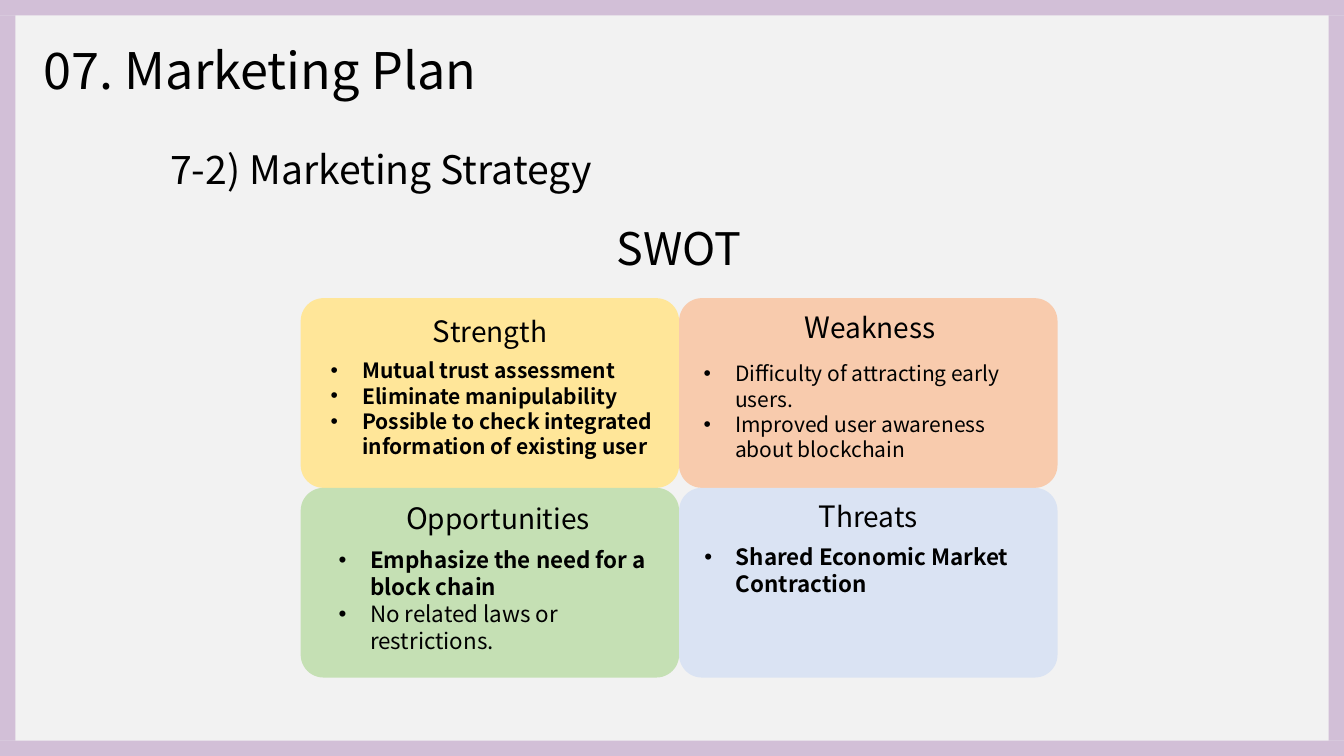
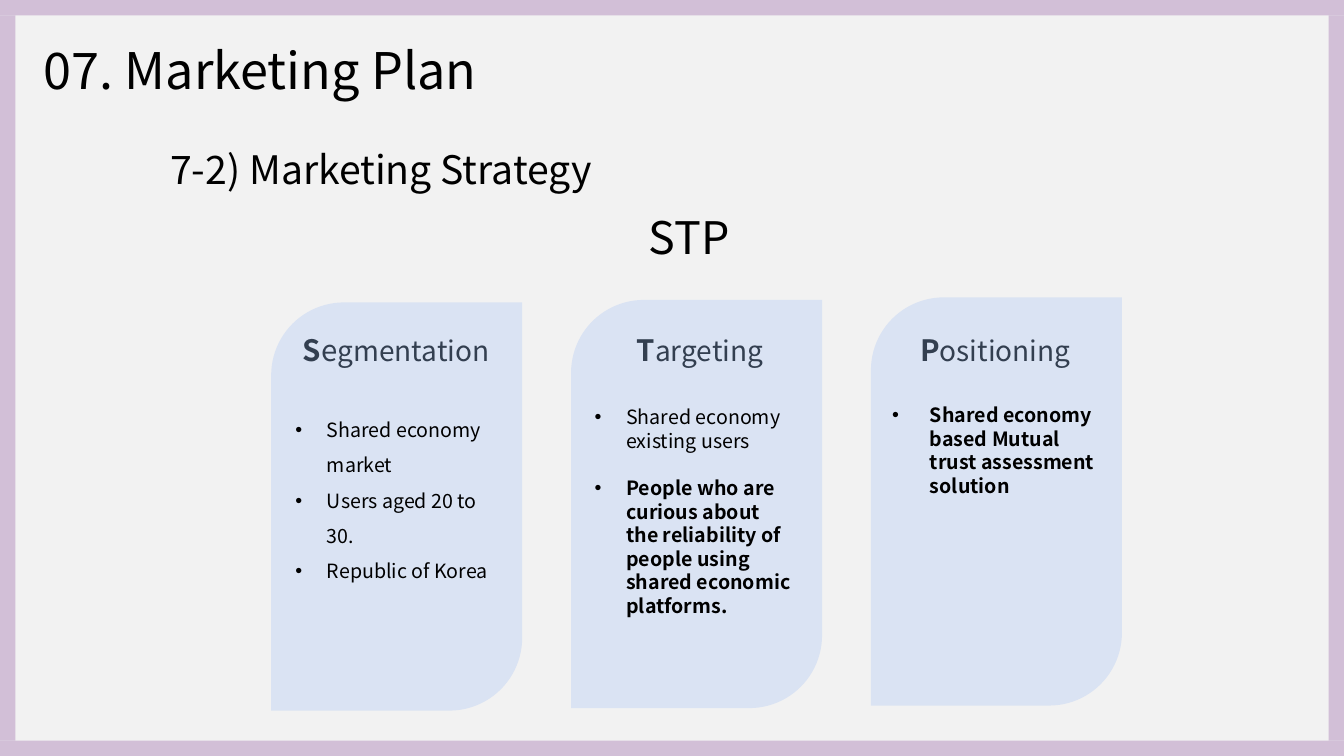
import pptx
import pptx.dml.color
import pptx.enum.shapes
import pptx.enum.text
import pptx.oxml
import pptx.oxml.ns
import pptx.util
import lxml.etree

Pt = pptx.util.Pt
RGBColor = pptx.dml.color.RGBColor
SHAPE = pptx.enum.shapes.MSO_SHAPE
ALIGN = pptx.enum.text.PP_ALIGN
qn = pptx.oxml.ns.qn

FONT = "Noto Sans CJK KR"
BLACK = RGBColor(0x00, 0x00, 0x00)
SLATE = RGBColor(0x33, 0x3F, 0x50)
PAPER = RGBColor(0xF2, 0xF2, 0xF2)
MAUVE = RGBColor(0xCB, 0xB3, 0xD1)
YELLOW = RGBColor(0xFF, 0xE6, 0x99)
ORANGE = RGBColor(0xF8, 0xCB, 0xAD)
GREEN = RGBColor(0xC5, 0xE0, 0xB4)
BLUE = RGBColor(0xDA, 0xE3, 0xF3)

WIDE, HIGH, BAND = 960, 540, 11
LAYOUT = 4


def place(shape, box):
    shape.left, shape.top, shape.width, shape.height = map(Pt, box)


def set_frame(shape):
    frame = shape.text_frame
    frame.word_wrap = True
    frame.auto_size = pptx.enum.text.MSO_AUTO_SIZE.NONE
    frame.vertical_anchor = pptx.enum.text.MSO_ANCHOR.TOP
    return frame


def add_run(para, text, size, bold=False, color=BLACK):
    run = para.add_run()
    run.text = text
    font = run.font
    font.name, font.size, font.bold = FONT, Pt(size), bold
    font.color.rgb = color


def add_line(shape, runs, align, color=BLACK):
    para = set_frame(shape).paragraphs[0]
    para.alignment = align
    for text, size, bold in runs:
        add_run(para, text, size, bold, color)


def add_text(slide, box, runs, align=ALIGN.CENTER, color=BLACK):
    shape = slide.shapes.add_textbox(*map(Pt, box))
    add_line(shape, runs, align, color)


def add_block(slide, kind, box, color, round_by=None, alpha=None):
    shape = slide.shapes.add_shape(kind, *map(Pt, box))
    shape.shadow.inherit = False
    shape.fill.solid()
    shape.fill.fore_color.rgb = color
    shape.line.fill.background()
    if round_by:
        shape.adjustments[0] = round_by
    if alpha:
        tint = shape.element.spPr.find(".//" + qn("a:srgbClr"))
        lxml.etree.SubElement(tint, qn("a:alpha")).set("val", str(alpha * 1000))


def add_head(slide, mid, top, runs, color=BLACK):
    add_text(slide, (mid - 120, top, 240, 32), runs, color=color)


def cap(first, rest, bold=False):
    return [(first, 21, bold), (rest, 20, False)]


def bullet(para, indent):
    props = para._p.get_or_add_pPr()
    props.set("marL", str(Pt(indent)))
    props.set("indent", str(-Pt(indent)))
    lxml.etree.SubElement(props, qn("a:buFont")).set("typeface", "Arial")
    lxml.etree.SubElement(props, qn("a:buChar")).set("char", "•")


def fill_list(holder, box, size, items, pitch=1.0, gap=0, indent=22.5):
    holder.element.getparent().append(holder.element)
    place(holder, box)
    frame = set_frame(holder)
    for rank, (text, bold) in enumerate(items):
        para = frame.add_paragraph() if rank else frame.paragraphs[0]
        para.alignment = ALIGN.LEFT
        para.line_spacing = pitch
        para.space_before = Pt(gap if rank else 0)
        bullet(para, indent)
        add_run(para, text, size, bold)


def new_slide(deck, topic, box):
    slide = deck.slides.add_slide(deck.slide_layouts[LAYOUT])
    title = slide.shapes.title
    place(title, (24, 24, 523, 51))
    add_line(title, [("07. Marketing Plan", 36, False)], ALIGN.LEFT)
    side = HIGH - 2 * BAND
    for band in ((0, 0, WIDE, BAND), (0, HIGH - BAND, WIDE, BAND),
                 (0, BAND, BAND, side), (WIDE - BAND, BAND, BAND, side)):
        add_block(slide, SHAPE.RECTANGLE, band, MAUVE, alpha=80)
    add_text(slide, (114.5, 100, 523, 41),
             [("7-2) Marketing Strategy", 28, False)], ALIGN.LEFT)
    add_text(slide, box, [(topic, 32, False)])
    holders = [h for h in slide.placeholders if h.placeholder_format.idx]
    return slide, holders


def add_swot(deck):
    slide, holders = new_slide(deck, "SWOT", (259, 154, 452, 46))
    wide, high = 270.3, 135.5
    for rank, color in enumerate((YELLOW, ORANGE, GREEN, BLUE)):
        row, col = divmod(rank, 2)
        box = (214.8 + col * wide, 213 + row * high, wide, high)
        add_block(slide, SHAPE.ROUNDED_RECTANGLE, box, color, 0.12)
    heads = ((350, 220.3, "S", "trength"), (621.4, 217.4, "W", "eakness"),
             (355.7, 353.5, "O", "pportunities"), (620, 352, "T", "hreats"))
    for mid, top, first, rest in heads:
        add_head(slide, mid, top, cap(first, rest))
    lists = (
        ((229, 252, 252.7, 80), 15, (
            ("Mutual trust assessment", True),
            ("Eliminate manipulability", True),
            ("Possible to check integrated information of existing user", True))),
        ((495.4, 254.2, 259, 80), 15, (
            ("Difficulty of attracting early users.", False),
            ("Improved user awareness about blockchain", False))),
        ((234.7, 386.6, 242, 85), 16, (
            ("Emphasize the need for a block chain", True),
            ("No related laws or restrictions.", False))),
        ((496, 384.5, 242, 46), 16, (
            ("Shared Economic Market Contraction", True),)),
    )
    for holder, (box, size, items) in zip(holders, lists):
        fill_list(holder, box, size, items)


def add_stp(deck):
    slide, holders = new_slide(deck, "STP", (266.4, 146.2, 452, 46))
    heads = (
        (283, [("S", 21, True), ("e", 21, False), ("gmentation", 20, False)]),
        (500, cap("T", "argeting", True)),
        (711, cap("P", "ositioning", True)),
    )
    for rank, (mid, runs) in enumerate(heads):
        box = (193.7 + 214.2 * rank, 216 - 1.8 * rank, 179.3, 291.6)
        add_block(slide, SHAPE.ROUND_2_DIAG_RECTANGLE, box, BLUE, 0.29)
        add_head(slide, mid, 234, runs, SLATE)
    first, second, third, spare = holders
    fill_list(first, (203.8, 286.6, 157.7, 132), 14, (
        ("Shared economy market", False),
        ("Users aged 20 to 30.", False),
        ("Republic of Korea", False)), pitch=1.5)
    fill_list(second, (417.6, 285.8, 157.7, 160), 14, (
        ("Shared economy existing users", False),
        ("People who are curious about the reliability of people using "
         "shared economic platforms.", True)), gap=17)
    fill_list(third, (630, 284.4, 162.7, 75), 14, (
        ("Shared economy based Mutual trust assessment solution", True),),
        indent=27)
    spare.element.getparent().remove(spare.element)


def main():
    deck = pptx.Presentation()
    deck.slide_width, deck.slide_height = Pt(WIDE), Pt(HIGH)
    paper = deck.slide_master.background.fill
    paper.solid()
    paper.fore_color.rgb = PAPER
    add_swot(deck)
    add_stp(deck)
    deck.save("out.pptx")


if __name__ == "__main__":
    main()
